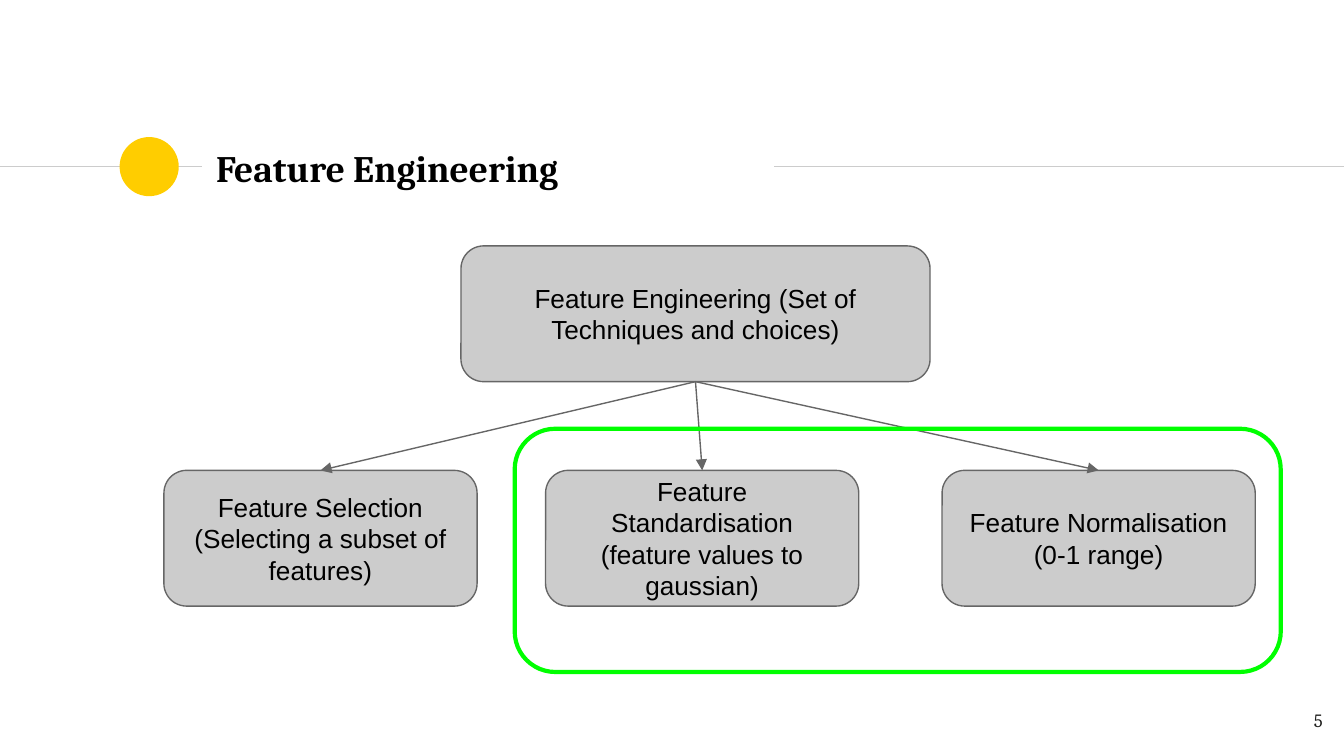
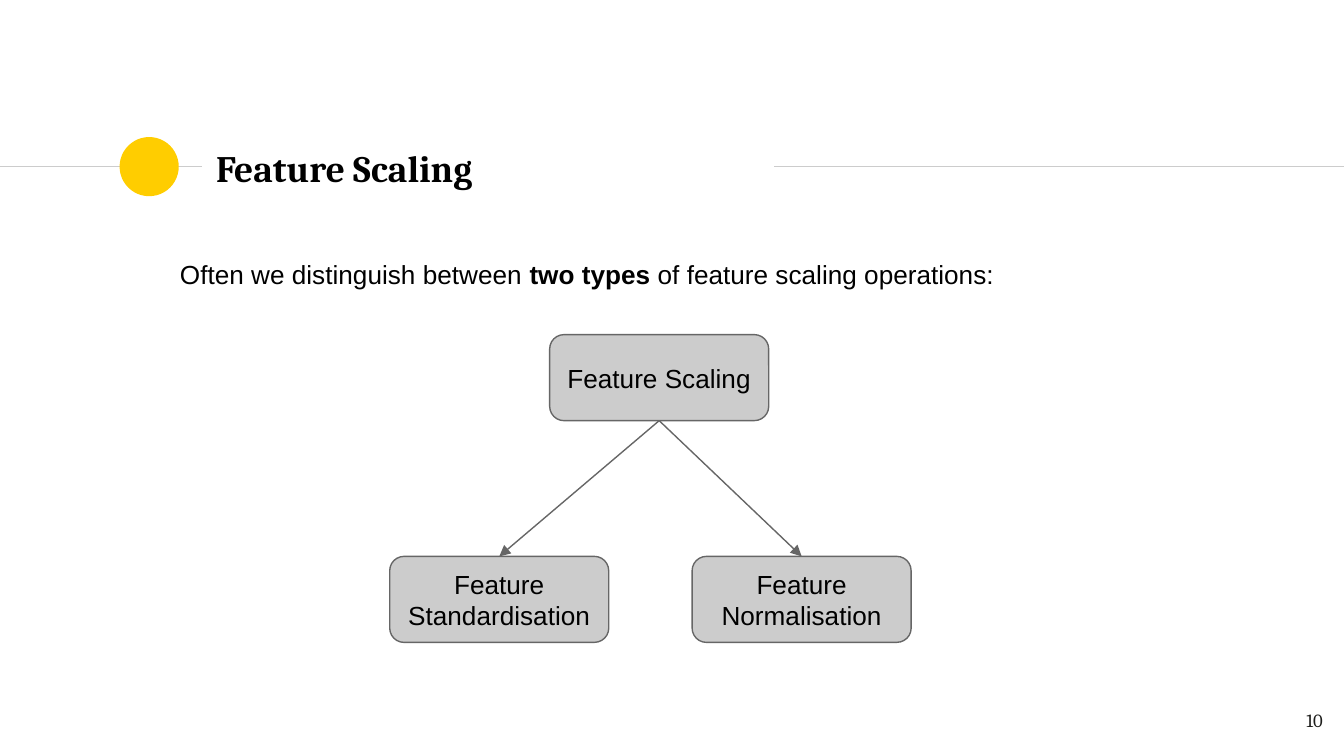
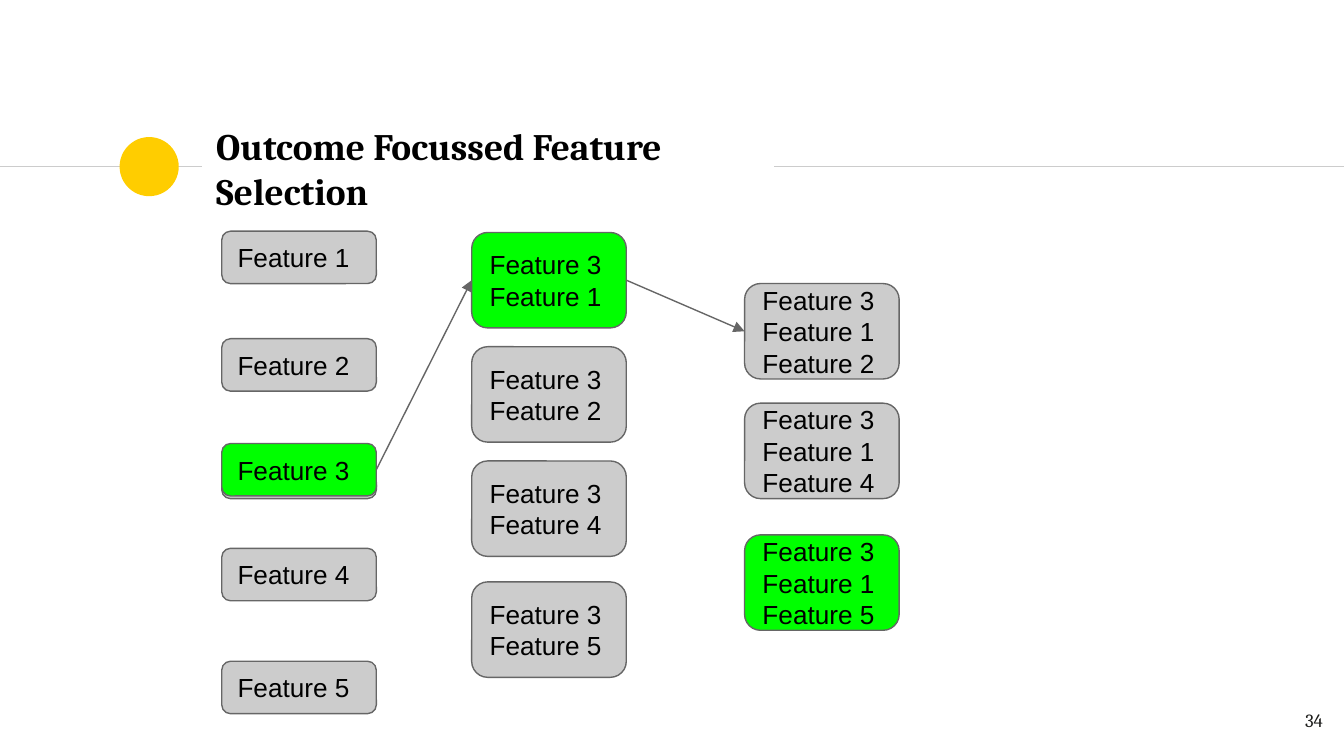
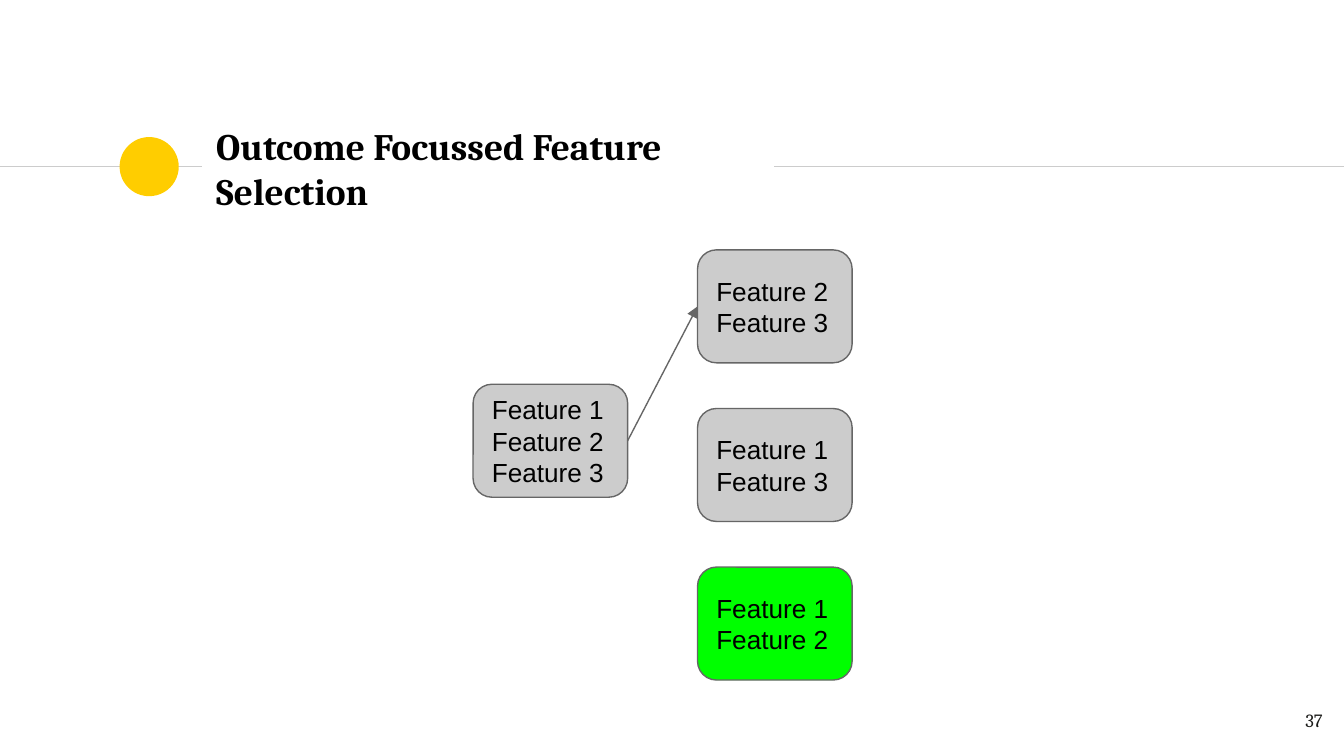
import pptx
import pptx.dml.color
import pptx.enum.shapes
import pptx.enum.text
import pptx.oxml
import pptx.oxml.ns
import pptx.util

Inches = pptx.util.Inches
Pt = pptx.util.Pt
SHAPES = pptx.enum.shapes.MSO_SHAPE
ALIGN = pptx.enum.text.PP_ALIGN
ANCHOR = pptx.enum.text.MSO_ANCHOR
TOP, LEFT, BOTTOM, RIGHT = range(4)

COLORS = {
    "black": "000000",
    "page_number": "1D1D1B",
    "rule": "CCCCCC",
    "accent": "FFCD00",
    "node": "CCCCCC",
    "outline": "666666",
    "selected": "00FF00",
}
TITLE_FONT, BODY_FONT = "Cambria", "Arial"


def color(name):
    return pptx.dml.color.RGBColor.from_string(COLORS[name])


def write(shape, paragraphs, size=14, font=BODY_FONT, ink="black", bold=None,
          align=ALIGN.LEFT, anchor=ANCHOR.TOP):
    """Fill a shape with paragraphs, each a list of (text, bold) runs or a string."""
    frame = shape.text_frame
    frame.word_wrap = True
    frame.vertical_anchor = anchor
    frame.margin_left = frame.margin_right = Inches(0.1)
    frame.margin_top = frame.margin_bottom = Inches(0.1)
    for index, content in enumerate(paragraphs):
        paragraph = frame.add_paragraph() if index else frame.paragraphs[0]
        paragraph.alignment = align
        paragraph.font.size = Pt(size)
        paragraph.font.name = font
        paragraph.font.bold = bold
        paragraph.font.color.rgb = color(ink)
        runs = [(content, None)] if isinstance(content, str) else content
        for text, run_bold in runs:
            run = paragraph.add_run()
            run.text = text
            if run_bold is not None:
                run.font.bold = run_bold


def add_text(slide, box, paragraphs, **style):
    write(slide.shapes.add_textbox(*map(Inches, box)), paragraphs, **style)


def add_outline(slide, kind, box, fill=None, line=None, width=0.75):
    shape = slide.shapes.add_shape(kind, *map(Inches, box))
    shape.shadow.inherit = False
    if fill:
        shape.fill.solid()
        shape.fill.fore_color.rgb = color(fill)
    else:
        shape.fill.background()
    if line:
        shape.line.color.rgb = color(line)
        shape.line.width = Pt(width)
    else:
        shape.line.fill.background()
    return shape


def add_line(slide, start, end, ink):
    line = slide.shapes.add_connector(
        pptx.enum.shapes.MSO_CONNECTOR.STRAIGHT, *map(Inches, (*start, *end)))
    line.line.color.rgb = color(ink)
    line.line.width = Pt(0.75)
    properties = line._element.spPr
    properties.append(pptx.oxml.parse_xml(
        f"<a:effectLst {pptx.oxml.ns.nsdecls('a')}/>"))
    return line


def add_arrow(slide, source, source_side, target, target_side):
    arrow = add_line(slide, (0, 0), (1, 1), "outline")
    arrow.begin_connect(source, source_side)
    arrow.end_connect(target, target_side)
    arrow.line._get_or_add_ln().append(pptx.oxml.parse_xml(
        f'<a:tailEnd type="triangle" {pptx.oxml.ns.nsdecls("a")}/>'))


def add_node(slide, box, lines, fill="node", align=ALIGN.LEFT):
    node = add_outline(slide, SHAPES.ROUNDED_RECTANGLE, box, fill, "outline")
    write(node, lines, align=align, anchor=ANCHOR.MIDDLE)
    return node


def add_base_slide(presentation, title, number):
    """Blank slide with the title band and the page number."""
    slide = presentation.slides.add_slide(presentation.slide_layouts[6])
    band = 1.24
    add_line(slide, (0, band), (1.5, band), "rule")
    add_outline(slide, SHAPES.OVAL, (0.89, band - 0.22, 0.44, 0.44), "accent")
    add_line(slide, (5.76, band), (10, band), "rule")
    add_text(slide, (1.51, 1.01, 4.24, 0.48), [title], size=20, font=TITLE_FONT,
             bold=True, anchor=ANCHOR.MIDDLE)
    add_text(slide, (9.34, 5.19, 0.6, 0.43), [str(number)], size=10,
             font=TITLE_FONT, ink="page_number", align=ALIGN.RIGHT)
    return slide


def add_tree(slide, origin, root, child_size, child_drop, children):
    """Root (offset, width, height, text) with arrows to (offset, text) children."""
    left, top = origin
    offset, width, height, text = root
    parent = add_node(slide, (left + offset, top, width, height), [text],
                      align=ALIGN.CENTER)
    for child_offset, child_text in children:
        box = (left + child_offset, top + child_drop, *child_size)
        child = add_node(slide, box, [child_text], align=ALIGN.CENTER)
        add_arrow(slide, parent, BOTTOM, child, TOP)


def add_feature_column(slide, origin, height, entries, selected=None):
    """Stack of feature sets, given as (offset, feature numbers)."""
    left, top = origin
    return [
        add_node(slide, (left, top + offset, 1.15, height),
                 [f"Feature {feature}" for feature in features],
                 "selected" if features == selected else "node")
        for offset, features in entries
    ]


def add_engineering_slide(presentation):
    slide = add_base_slide(presentation, "Feature Engineering", 5)
    add_tree(slide, (1.22, 1.83),
             (2.21, 3.49, 1.01, "Feature Engineering (Set of Techniques and choices)"),
             (2.33, 1.01), 1.67,
             [(0, "Feature Selection (Selecting a subset of features)"),
              (2.84, "Feature Standardisation (feature values to gaussian)"),
              (5.79, "Feature Normalisation (0-1 range)")])
    # Frame around the scaling operations
    add_outline(slide, SHAPES.ROUNDED_RECTANGLE, (3.83, 3.19, 5.7, 1.81),
                line="selected", width=2.25)


def add_scaling_slide(presentation):
    slide = add_base_slide(presentation, "Feature Scaling", 10)
    add_text(slide, (1.24, 1.82, 7.31, 0.8), [[
        ("Often we distinguish between ", None),
        ("two types ", True),
        ("of feature scaling operations:", None)]])
    add_tree(slide, (2.9, 2.49), (1.19, 1.63, 0.64, "Feature Scaling"),
             (1.63, 0.64), 1.65,
             [(0, "Feature Standardisation"), (2.25, "Feature Normalisation")])


def add_forward_selection_slide(presentation):
    slide = add_base_slide(presentation, "Outcome Focussed Feature Selection", 34)
    # Candidates of each round
    add_feature_column(slide, (1.65, 1.72), 0.39,
                       [(0, [1]), (0.8, [2]), (1.6, [3]), (2.36, [4]), (3.2, [5])])
    pairs = add_feature_column(
        slide, (3.51, 1.73), 0.71,
        [(0, [3, 1]), (0.85, [3, 2]), (1.7, [3, 4]), (2.6, [3, 5])], [3, 1])
    triples = add_feature_column(
        slide, (5.54, 2.11), 0.71,
        [(0, [3, 1, 2]), (0.89, [3, 1, 4]), (1.87, [3, 1, 5])], [3, 1, 5])
    # Best single feature, raised slightly above its candidate
    best = add_node(slide, (1.65, 3.3, 1.15, 0.39), ["Feature 3"], "selected")
    add_arrow(slide, best, RIGHT, pairs[0], LEFT)
    add_arrow(slide, pairs[0], RIGHT, triples[0], LEFT)


def add_backward_selection_slide(presentation):
    slide = add_base_slide(presentation, "Outcome Focussed Feature Selection", 37)
    full_set, = add_feature_column(slide, (3.52, 2.86), 0.84, [(0, [1, 2, 3])])
    subsets = [[2, 3], [1, 3], [1, 2]]
    pairs = add_feature_column(
        slide, (5.19, 1.86), 0.84,
        [(1.18 * row, features) for row, features in enumerate(subsets)], [1, 2])
    add_arrow(slide, full_set, RIGHT, pairs[0], LEFT)


def main():
    presentation = pptx.Presentation()
    presentation.slide_width = Inches(10)
    presentation.slide_height = Inches(10 * 9 / 16)
    add_engineering_slide(presentation)
    add_scaling_slide(presentation)
    add_forward_selection_slide(presentation)
    add_backward_selection_slide(presentation)
    presentation.save("out.pptx")


if __name__ == "__main__":
    main()
